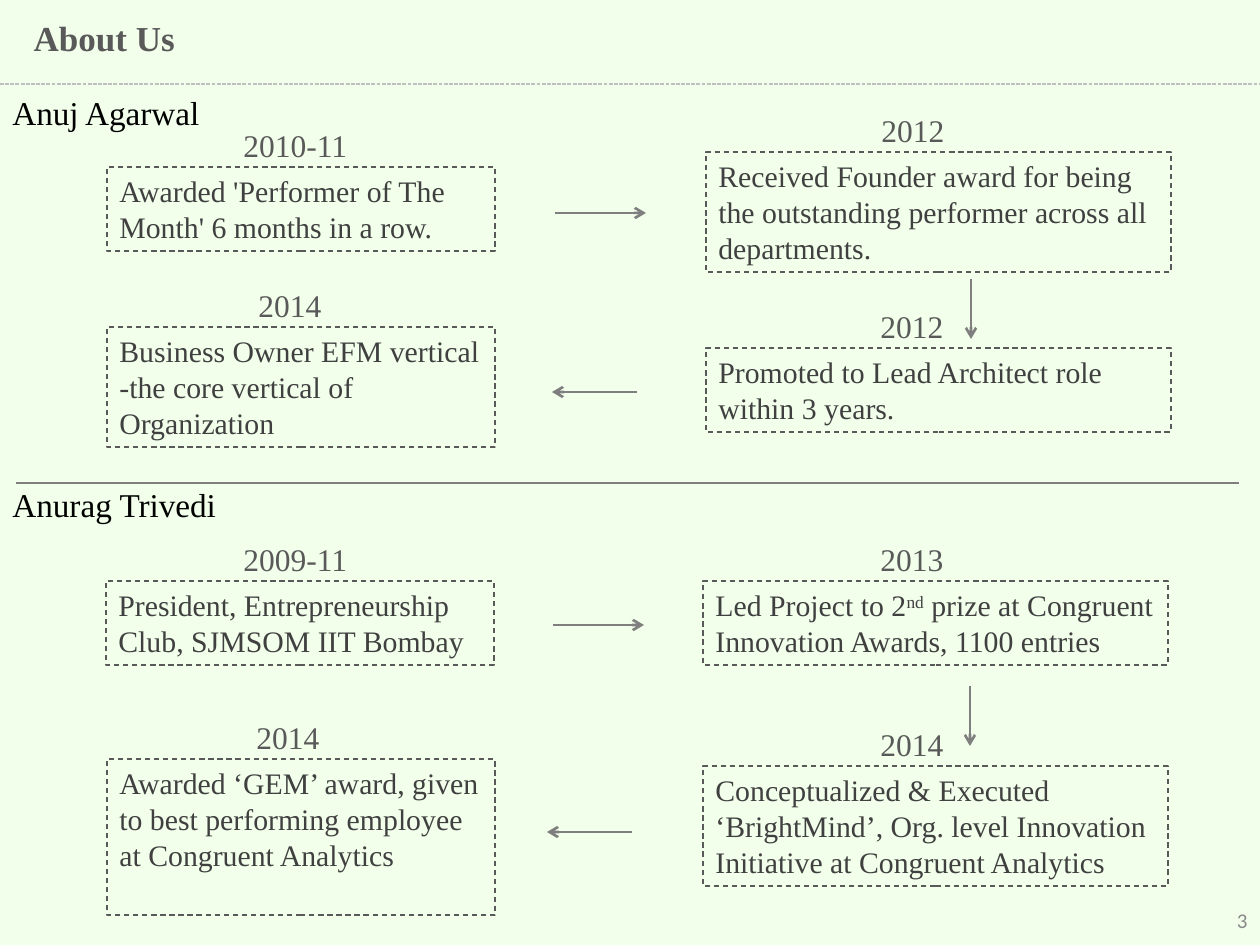
from pptx import Presentation
from pptx.dml.color import RGBColor
from pptx.enum.dml import MSO_LINE as Dash
from pptx.enum.shapes import MSO_CONNECTOR as Conn, MSO_SHAPE as Kind
from pptx.enum.text import MSO_ANCHOR as Anchor, MSO_AUTO_SIZE as Fit, PP_ALIGN as Align
from pptx.oxml.ns import qn
from pptx.util import Pt
from lxml.etree import SubElement

PX = 914400 / 126
SERIF = "Times New Roman"
GREY, DARK, MID = "595959", "404040", "7F7F7F"

CARDS = [
    (107, 167, 388, 84, "2010-11", 231, ["Awarded 'Performer of The Month' 6 months in a row."]),
    (706, 152, 465, 120, "2012", 869,
     ["Received Founder award for being the outstanding performer across all departments."]),
    (706, 348, 465, 84, "2012", 868, ["Promoted to Lead Architect role within 3 years."]),
    (107, 327, 388, 120, "2014", 246,
     ["Business Owner EFM vertical -the core vertical of Organization"]),
    (106, 581, 388, 84, "2009-11", 231, ["President, Entrepreneurship Club, SJMSOM IIT Bombay"]),
    (703, 581, 465, 84, "2013", 868,
     ["Led Project to 2", "nd", " prize at Congruent Innovation Awards, 1100 entries"]),
    (703, 766, 465, 120, "2014", 868,
     ["Conceptualized & Executed ‘BrightMind’, Org. level Innovation Initiative "
      "at Congruent Analytics"]),
    (107, 759, 388, 156, "2014", 244,
     ["Awarded ‘GEM’ award, given to best performing employee at Congruent Analytics"]),
]

ARROWS = [
    (555, 213, 646, 213), (971, 279, 971, 339), (637, 392, 552, 392),
    (553, 625, 644, 625), (970, 686, 970, 746), (632, 832, 547, 832),
]


def px(*nums):
    return [round(n * PX) for n in nums]


def hue(code):
    return RGBColor.from_string(code)


def write(shape, runs, size, color, wrap=True, font=SERIF, bold=False,
          align=Align.LEFT, anchor=Anchor.TOP):
    frame = shape.text_frame
    frame.auto_size = Fit.NONE
    frame.word_wrap = wrap
    frame.vertical_anchor = anchor
    para = frame.paragraphs[0]
    para.alignment = align
    for text in runs:
        run = para.add_run()
        run.text = text
        run.font.name = font
        run.font.size = Pt(size)
        run.font.bold = bold
        run.font.color.rgb = hue(color)
        if text == "nd":
            run.font._element.set("baseline", "30000")


def label(shapes, box, text, size, color, **opts):
    write(shapes.add_textbox(*px(*box)), [text], size, color, **opts)


def line(shapes, ends, color, width, dash=None, arrow=False):
    conn = shapes.add_connector(Conn.STRAIGHT, *px(*ends))
    conn.line.color.rgb = hue(color)
    conn.line.width = Pt(width)
    if dash:
        conn.line.dash_style = dash
    if arrow:
        SubElement(conn.line._get_or_add_ln(), qn("a:tailEnd"), type="arrow")
    SubElement(conn._element.spPr, qn("a:effectLst"))


def card(shapes, left, top, width, height, year, start, runs):
    group = shapes.add_group_shape().shapes
    box = group.add_shape(Kind.RECTANGLE, *px(left, top, width, height))
    box.shadow.inherit = False
    box.fill.background()
    box.line.color.rgb = hue(GREY)
    box.line.width = Pt(0.75)
    box.line.dash_style = Dash.DASH
    write(box, runs, 17, DARK)
    label(group, (start, top - 47, 32 + 14 * len(year), 50), year, 18, GREY, wrap=False)


def title(slide, text):
    head = slide.shapes.title
    head.left, head.top, head.width, head.height = px(21, 10, 240, 55)
    write(head, [text], 20, GREY, bold=True)


def main():
    deck = Presentation()
    deck.slide_width, deck.slide_height = px(1260, 945)
    slide = deck.slides.add_slide(deck.slide_layouts[5])
    back = slide.background.fill
    back.solid()
    back.fore_color.rgb = hue("F2FFEB")
    shapes = slide.shapes

    title(slide, "About Us")
    line(shapes, (0, 84, 1260, 84), "BFBFBF", 0.75, dash=Dash.SQUARE_DOT)
    label(shapes, (0, 86, 782, 53), "Anuj Agarwal", 19, "000000")
    line(shapes, (16, 483, 1239, 483), MID, 0.75)
    label(shapes, (0, 478, 231, 53), "Anurag Trivedi", 19, "000000", wrap=False)
    for item in CARDS:
        card(shapes, *item)
    for ends in ARROWS:
        line(shapes, ends, MID, 1.5, arrow=True)
    label(shapes, (966, 895, 294, 50), "3", 12, "898989", font="Calibri",
          align=Align.RIGHT, anchor=Anchor.MIDDLE)
    deck.save("out.pptx")


if __name__ == "__main__":
    main()
